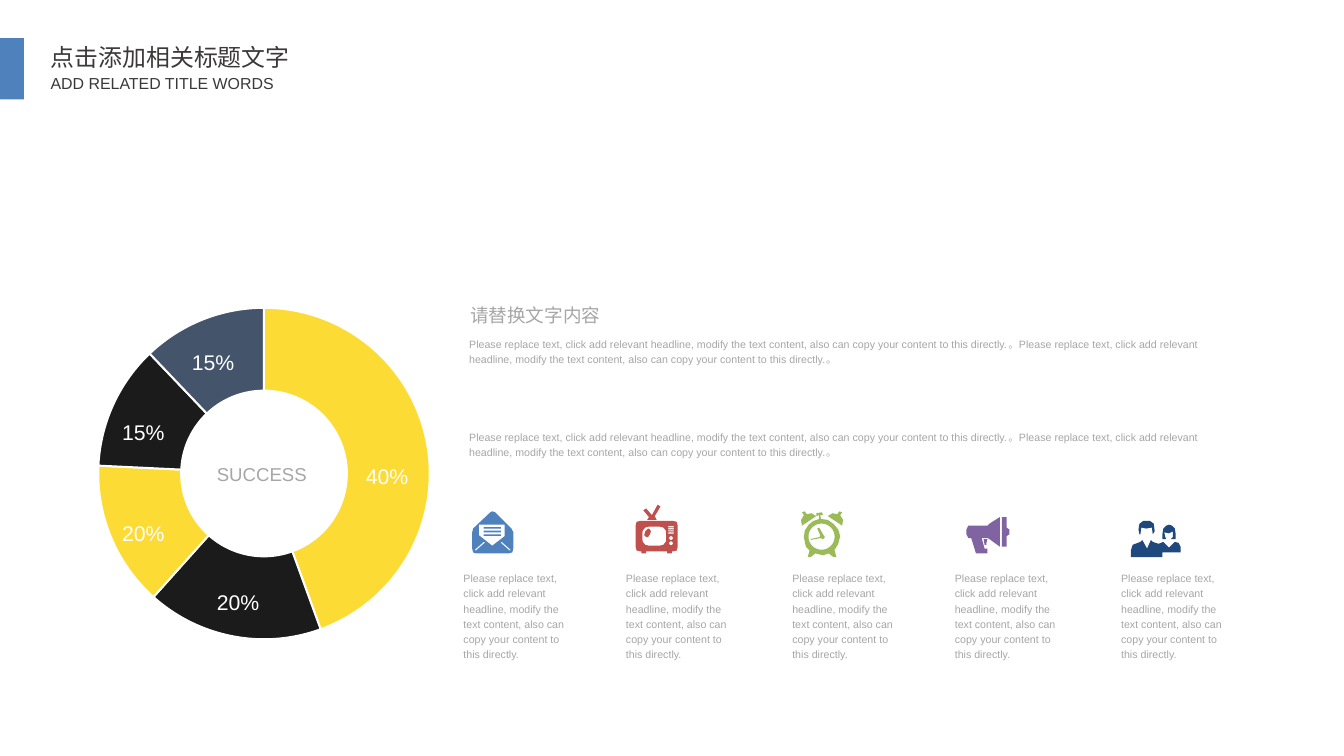
"""Build a slide with a doughnut chart, two paragraphs and five captioned icons."""
import math

from lxml import etree
from pptx import Presentation
from pptx import util as u
from pptx.chart.data import CategoryChartData
from pptx.dml.color import RGBColor
from pptx.enum import chart as ch, shapes, text
from pptx.oxml.ns import qn

COLORS = {
    "blue": "4F81BD", "red": "C0504D", "green": "9BBB59", "purple": "8064A2",
    "navy": "1F497D", "yellow": "FCDC34", "black": "1C1B1C", "slate": "44546A",
    "grey": "A6A6A6", "dark": "3B3838", "white": "FFFFFF",
}
RGB = {name: RGBColor.from_string(value) for name, value in COLORS.items()}
CJK = "Noto Sans CJK SC"

prs = Presentation()
prs.slide_width, prs.slide_height = u.Inches(14.06), u.Inches(7.91)
CELL = prs.slide_width // 1406
s = prs.slides.add_slide(prs.slide_layouts[6])


def add_text(box, words, size, color, font="Arial", align="LEFT", wrap=False,
             spacing=1.2, inset=10):
    """Add a text box placed in grid cells."""
    tf = s.shapes.add_textbox(*(v * CELL for v in box)).text_frame
    tf.word_wrap = wrap
    tf.margin_left = tf.margin_right = inset * CELL
    tf.margin_top = tf.margin_bottom = 5 * CELL
    p = tf.paragraphs[0]
    p.text = words
    p.alignment = text.PP_ALIGN[align]
    p.line_spacing = spacing
    r = p.runs[0]
    r.font.size, r.font.name = u.Pt(size), font
    r.font.color.rgb = RGB[color]
    etree.SubElement(r.font._element, qn("a:ea")).set("typeface", CJK)


def circle(x, y, radius):
    """Return the points of a circle."""
    angles = [math.tau * i / 32 for i in range(32)]
    return [(x + radius * math.cos(a), y + radius * math.sin(a)) for a in angles]


bar = s.shapes.add_shape(shapes.MSO_SHAPE.RECTANGLE, 0, 40 * CELL, 25 * CELL, 64 * CELL)
bar.shadow.inherit = False
bar.fill.solid()
bar.fill.fore_color.rgb = RGB["blue"]
bar.line.fill.background()
add_text((42, 40, 290, 41), "点击添加相关标题文字", 18, "dark", CJK,
         wrap=True, spacing=1, inset=11)
add_text((42, 72, 290, 31), "ADD RELATED TITLE WORDS", 12, "dark",
         wrap=True, spacing=1, inset=11)

data = CategoryChartData()
data.categories = ["1", "2", "3", "4", "5"]
data.add_series("Series 1", (44, 17, 14, 12, 12))
chart = s.shapes.add_chart(ch.XL_CHART_TYPE.DOUGHNUT, 53 * CELL, 307 * CELL,
                           442 * CELL, 377 * CELL, data).chart
chart.has_legend = chart.has_title = False
chart.font.size, chart.font.name = u.Pt(10), "Arial"
chart.font.color.rgb = RGBColor(0, 0, 0)
plot = chart.plots[0]
plot.vary_by_categories = True
plot._element.find(qn("c:holeSize")).set("val", "50")
for i, color in enumerate(("yellow", "black", "yellow", "black", "slate")):
    slice_format = plot.series[0].points[i].format
    slice_format.fill.solid()
    slice_format.fill.fore_color.rgb = RGB[color]
    slice_format.line.color.rgb = RGB["white"]
    slice_format.line.width = u.Pt(1.5)
plot_area = chart._chartSpace.find(".//" + qn("c:plotArea"))
for old in plot_area.findall(qn("c:layout")):
    plot_area.remove(old)
layout = etree.Element(qn("c:layout"))
plot_area.insert(0, layout)
manual = etree.SubElement(layout, qn("c:manualLayout"))
for tag, value in (("layoutTarget", "inner"), ("xMode", "edge"), ("yMode", "edge"),
                   ("x", 0.11), ("y", 0.04), ("w", 0.79), ("h", 0.92)):
    etree.SubElement(manual, qn("c:" + tag)).set("val", str(value))

add_text((217, 475, 114, 33), "SUCCESS", 14, "grey", align="CENTER")
for x, y, share in ((373, 474, "40%"), (191, 355, "15%"), (118, 428, "15%"),
                    (118, 534, "20%"), (217, 606, "20%")):
    add_text((x, y, 64, 36), share, 16, "white", align="CENTER")

CAPTION = ("Please replace text, click add relevant headline, modify the text content, "
           "also can copy your content to this directly.")
add_text((482, 308, 180, 33), "请替换文字内容", 14, "grey", wrap=True)
for y in (346, 443):
    add_text((481, y, 803, 39), (CAPTION + "。") * 2, 8, "grey", wrap=True)

envelope = [
    [(41, 25), (43, 29), (43, 46), (42, 50), (38, 51), (4, 51), (1, 50), (0, 46),
     (0, 29), (1, 25), (19, 8), (21, 7), (24, 8)],
    [(7, 21), (7, 32), (21, 43), (34, 33), (34, 21)],
    [(4, 48), (13, 40), (13, 39), (12, 39), (3, 47), (3, 48)],
    [(40, 47), (31, 39), (30, 39), (30, 40), (39, 48), (40, 48)],
] + [[(12, y), (30, y), (30, y + 1.7), (12, y + 1.7)] for y in (23.5, 27.3, 31.1)]

television = [
    [(39, 17), (43, 18), (44, 22), (44, 44), (43, 48), (39, 49), (38, 49), (38, 51),
     (33, 51), (33, 49), (11, 49), (11, 51), (6, 51), (6, 49), (5, 49), (1, 48),
     (0, 44), (0, 22), (1, 18), (5, 17)],
    [(11, 4), (17, 11), (23, 0), (26, 2), (20, 12), (22, 16), (12, 16), (14, 13), (8, 6)],
    [(15, 26), (13, 25), (10, 28), (9, 32), (11, 34), (13, 34), (15, 31), (16, 28)],
    [(14, 23), (10, 24), (7.5, 27), (7, 30), (7, 36), (7.5, 39), (10, 42), (14, 43),
     (25, 43), (29, 42), (31.5, 39), (32, 36), (32, 30), (31.5, 27), (29, 24), (25, 23)],
    circle(37, 35, 2), circle(37, 40.5, 2),
] + [[(34, y), (40, y), (40, y + 1.2), (34, y + 1.2)] for y in (22.5, 24.7, 26.9, 29.1)]

clock = [
    [(10, 48), (6, 44), (4, 34), (5, 27), (9, 21), (14, 17), (20, 15), (20, 11), (17, 12),
     (17, 9), (23, 8), (24, 11), (21, 11), (22, 15), (29, 16), (35, 20), (40, 26),
     (42, 33), (40, 41), (37, 46), (36, 47), (38, 55), (35, 55), (30, 51), (24, 53),
     (16, 51), (11, 55), (8, 55)],
    [(39, 10), (34, 9), (29, 12), (44, 22), (45, 16), (42, 11), (44, 8), (41, 7)],
    [(7, 10), (5, 7), (2, 8), (4, 11), (1, 16), (2, 22), (17, 12), (12, 9)],
    [(21, 33), (20, 34), (11, 36), (11, 37), (21, 35), (24, 36), (26, 34), (24, 31),
     (20, 24), (18, 25), (21, 32)],
    circle(22.5, 33.5, 13.7),
]

megaphone = [
    [(2, 22), (22, 22), (24, 20), (35, 13), (35, 44), (24, 36), (22, 35), (16, 35),
     (19, 46), (22, 46), (22, 51), (10, 51), (5, 35), (2, 35), (0, 31), (0, 26)],
    [(42, 24), (45, 26), (45, 31), (42, 33), (42, 44), (37, 44), (37, 13), (42, 13)],
    [(22, 36), (18, 36), (19, 42), (21, 42), (21, 40)],
]

people = [
    [(2, 42), (10, 39), (12, 37), (17, 46), (21, 37), (23, 39), (29, 41), (34, 39),
     (40, 45), (46, 39), (50, 40), (52, 44), (52, 50), (33, 50), (33, 55), (0, 55), (0, 48)],
    [(35, 29), (40, 30), (44, 28), (44, 34), (42, 36), (47, 36), (47, 31), (46, 25),
     (43, 22), (40, 21), (37, 22), (34, 25), (33, 31), (33, 36), (37, 36), (36, 34)],
    [(10, 31), (11, 24), (16, 25), (22, 24), (23, 31), (25, 28), (24, 20), (20, 17),
     (13, 17), (9, 20), (8, 26), (9, 31)],
]

for caption_x, icon_x, color, outlines in (
        (475, 494, "blue", envelope), (645, 665, "red", television),
        (819, 837, "green", clock), (989, 1011, "purple", megaphone),
        (1163, 1183, "navy", people)):
    builder = None
    for outline in outlines:
        points = [(x * 10, y * 10) for x, y in outline]
        if builder is None:
            builder = s.shapes.build_freeform(*points[0], scale=CELL / 10)
        else:
            builder.move_to(*points[0])
        builder.add_line_segments(points[1:], close=True)
    sp = builder.convert_to_shape(icon_x * CELL, 528 * CELL)
    sp.shadow.inherit = False
    sp.fill.solid()
    sp.fill.fore_color.rgb = RGB[color]
    sp.line.fill.background()
    add_text((caption_x, 591, 132, 103), CAPTION, 8, "grey", wrap=True)

prs.save("out.pptx")
